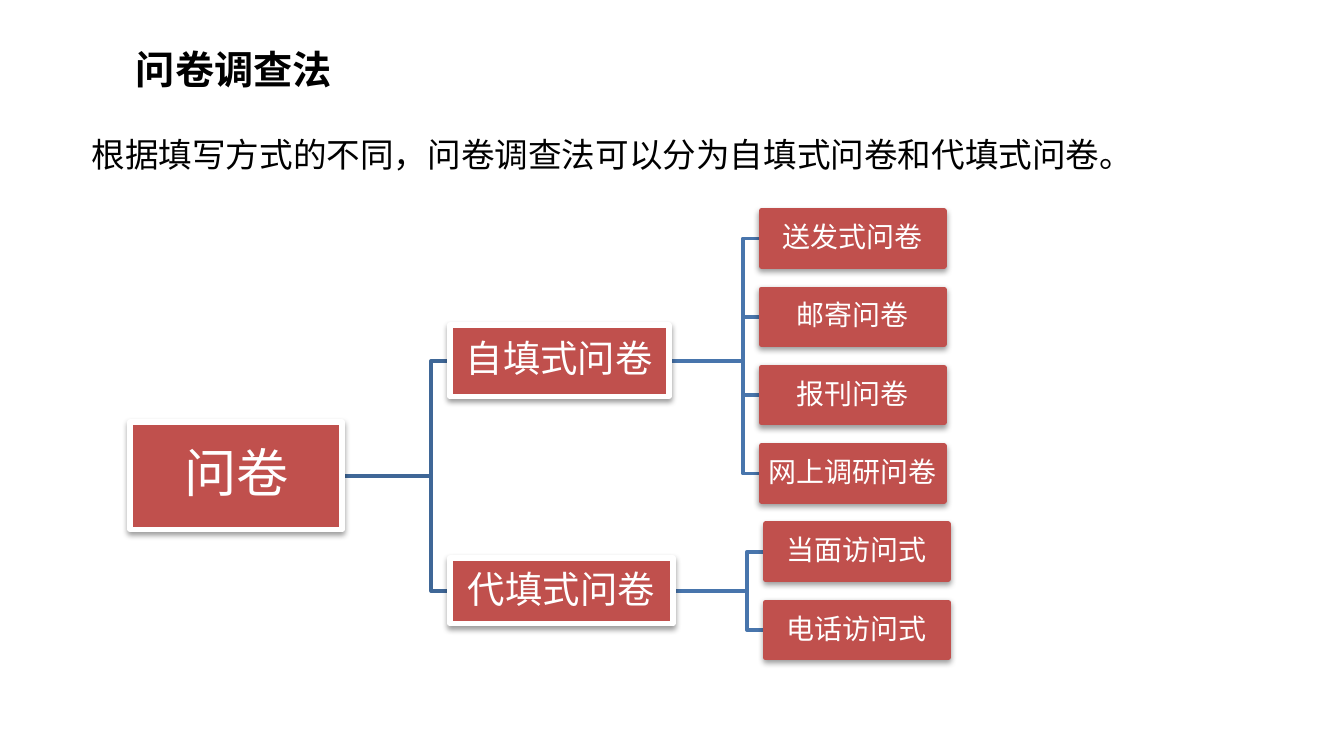
from dataclasses import dataclass

from lxml import etree
from pptx import Presentation
from pptx.dml.color import RGBColor
from pptx.enum.shapes import MSO_SHAPE
from pptx.enum.text import MSO_ANCHOR, MSO_AUTO_SIZE, PP_ALIGN
from pptx.oxml.ns import qn
from pptx.util import Cm, Pt

RECT = MSO_SHAPE.RECTANGLE
LEFT, CENTER = PP_ALIGN.LEFT, PP_ALIGN.CENTER
TOP, MIDDLE = MSO_ANCHOR.TOP, MSO_ANCHOR.MIDDLE
FIT_SHAPE = MSO_AUTO_SIZE.SHAPE_TO_FIT_TEXT
TITLE_ONLY = 5


@dataclass(frozen=True)
class Theme:
    black: str = "000000"
    white: str = "FFFFFF"
    red: str = "C0504D"
    root_line: str = "3F6797"
    branch_line: str = "4875AC"
    cjk: str = "Noto Sans CJK SC"
    latin: str = "Calibri"
    title: int = 21
    body: int = 18
    root: int = 28
    branch: int = 20
    leaf: int = 15


T = Theme()

# Tree geometry in centimetres
ROOT_LEFT, ROOT_W, ROOT_H = 2.46, 4.01, 2.03
LEAF_W, LEAF_H = 3.45, 1.04
LEAF_Y, LEAF_PITCH = 4.51, 1.48
ROOT_GAP, LEAF_GAP, ELBOW = 2.03, 1.75, 0.35

# Label, width, height, centre height, leaves
BRANCHES = [
    ("自填式问卷", 4.14, 1.35, 6.82,
     ["送发式问卷", "邮寄问卷", "报刊问卷", "网上调研问卷"]),
    ("代填式问卷", 4.22, 1.24, 11.17, ["当面访问式", "电话访问式"]),
]


def rgb(color):
    return RGBColor.from_string(color)


def write(tf, text, size, font, color, bold=False, align=LEFT):
    p = tf.paragraphs[0]
    p.alignment = align
    r = p.add_run()
    r.text = text
    r.font.size = Pt(size)
    r.font.bold = bold
    r.font.color.rgb = rgb(color)
    r.font.name = font
    etree.SubElement(r.font._element, qn("a:ea"), typeface=T.cjk)
    return p


def set_frame(tf, inset_x, inset_y, anchor):
    tf.margin_left = tf.margin_right = Cm(inset_x)
    tf.margin_top = tf.margin_bottom = Cm(inset_y)
    tf.vertical_anchor = anchor


def add_shadow(sp):
    effects = etree.SubElement(sp._element.spPr, qn("a:effectLst"))
    shadow = etree.SubElement(effects, qn("a:outerShdw"), blurRad=str(Pt(3.1)),
                              dist=str(Pt(1.6)), dir="5400000", rotWithShape="0")
    color = etree.SubElement(shadow, qn("a:srgbClr"), val=T.black)
    etree.SubElement(color, qn("a:alpha"), val="38000")


def add_title(slide, text):
    sp = slide.shapes.title
    sp.left, sp.top, sp.width, sp.height = Cm(2.39), Cm(0.76), Cm(4.14), Cm(1.09)
    tf = sp.text_frame
    set_frame(tf, 0.18, 0.1, TOP)
    tf.word_wrap = False
    tf.auto_size = FIT_SHAPE
    write(tf, text, T.title, T.cjk, T.black, bold=True)


def add_intro(slide, text):
    sp = slide.shapes.add_textbox(Cm(1.55), Cm(2.44), Cm(19.94), Cm(0.97))
    tf = sp.text_frame
    set_frame(tf, 0.18, 0.1, TOP)
    tf.word_wrap = True
    tf.auto_size = FIT_SHAPE
    write(tf, text, T.body, T.cjk, T.black)


def add_node(slide, text, left, mid, width, height, size, outline):
    sp = slide.shapes.add_shape(RECT, Cm(left), Cm(mid - height / 2),
                                Cm(width), Cm(height))
    sp.fill.solid()
    sp.fill.fore_color.rgb = rgb(T.red)
    sp.line.color.rgb = rgb(outline)
    sp.line.width = Pt(3)
    add_shadow(sp)
    tf = sp.text_frame
    set_frame(tf, 0.03, 0.03, MIDDLE)
    tf.word_wrap = True
    p = write(tf, text, size, T.latin, T.white, align=CENTER)
    p.line_spacing = 0.9


def add_elbow(slide, x1, y1, x2, y2, color):
    bend = x2 - ELBOW
    builder = slide.shapes.build_freeform(Cm(x1), Cm(y1))
    builder.add_line_segments(
        [(Cm(bend), Cm(y1)), (Cm(bend), Cm(y2)), (Cm(x2), Cm(y2))], close=False)
    sp = builder.convert_to_shape()
    sp.fill.background()
    sp.line.color.rgb = rgb(color)
    sp.line.width = Pt(2)
    sp.shadow.inherit = False


def add_tree(slide):
    root_right = ROOT_LEFT + ROOT_W
    branch_left = root_right + ROOT_GAP
    root_mid = sum(mid for _, _, _, mid, _ in BRANCHES) / len(BRANCHES)
    leaf_mid = LEAF_Y

    # Each branch with its leaves, lines behind boxes
    for label, width, height, mid, leaves in BRANCHES:
        right = branch_left + width
        leaf_left = right + LEAF_GAP
        add_elbow(slide, root_right, root_mid, branch_left, mid, T.root_line)
        for leaf in leaves:
            add_elbow(slide, right, mid, leaf_left, leaf_mid, T.branch_line)
            add_node(slide, leaf, leaf_left, leaf_mid, LEAF_W, LEAF_H,
                     T.leaf, T.red)
            leaf_mid += LEAF_PITCH
        add_node(slide, label, branch_left, mid, width, height,
                 T.branch, T.white)

    # Root
    add_node(slide, "问卷", ROOT_LEFT, root_mid, ROOT_W, ROOT_H, T.root, T.white)


def main():
    prs = Presentation()
    prs.slide_width, prs.slide_height = Cm(25.4), Cm(14.29)
    slide = prs.slides.add_slide(prs.slide_layouts[TITLE_ONLY])
    add_title(slide, "问卷调查法")
    add_intro(slide, "根据填写方式的不同，问卷调查法可以分为自填式问卷和代填式问卷。")
    add_tree(slide)
    prs.save("out.pptx")


if __name__ == "__main__":
    main()
